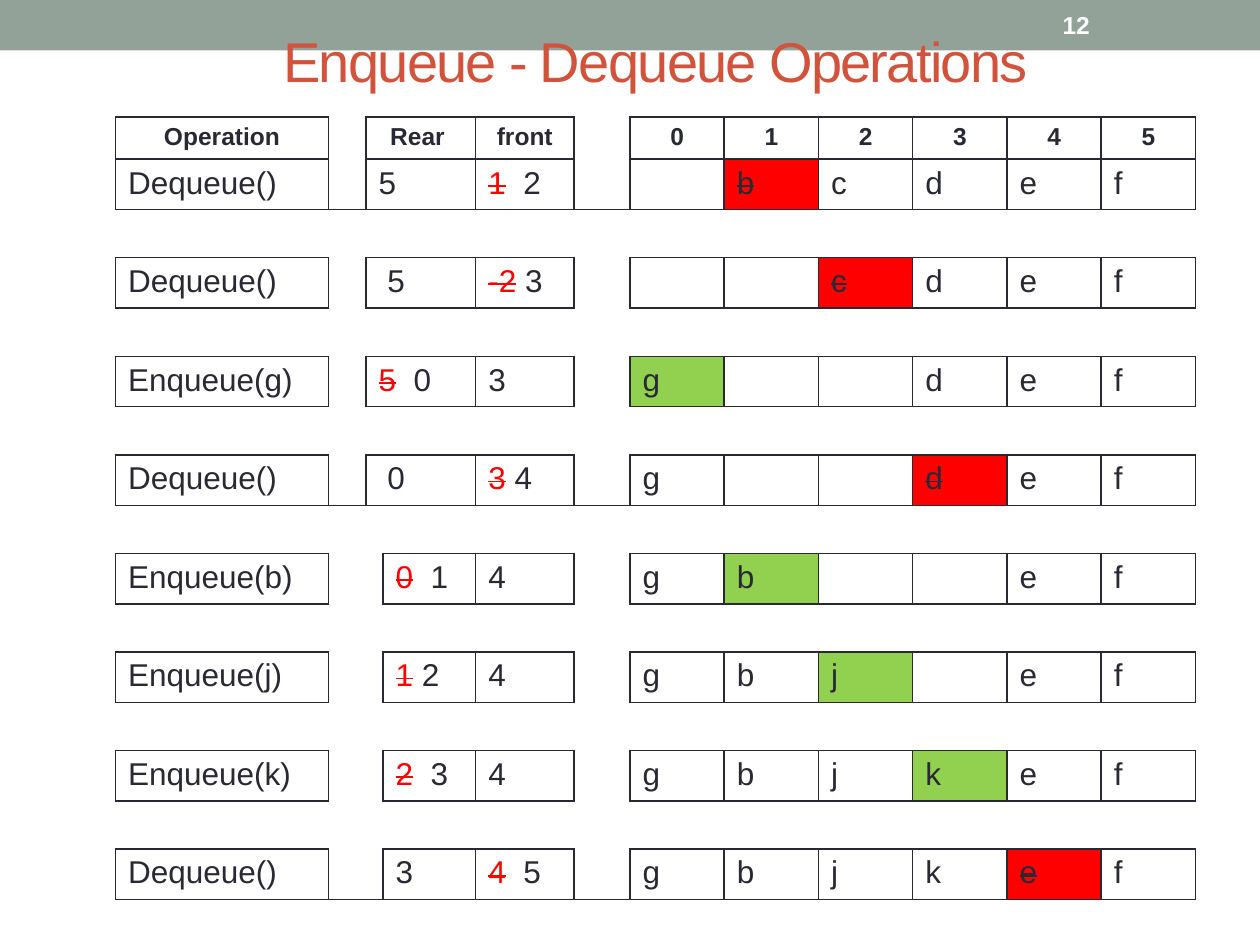
from pptx import Presentation
from pptx.dml.color import RGBColor
from pptx.enum.shapes import MSO_SHAPE
from pptx.enum.text import MSO_ANCHOR, PP_ALIGN
from pptx.util import Cm, Pt
from lxml.etree import SubElement
from pptx.oxml.ns import qn

INK = RGBColor(0x29, 0x29, 0x34)
SAGE = RGBColor(0x93, 0xA2, 0x99)
RUST = RGBColor(0xD2, 0x53, 0x3C)
RED = RGBColor(0xFF, 0x00, 0x00)
GREEN = RGBColor(0x92, 0xD0, 0x50)
WHITE = RGBColor(0xFF, 0xFF, 0xFF)

FONT = "Arial"
PLAIN = "{2D5ABB26-0587-4C30-8999-92F81FD0307C}"
WIDTHS = [4.29, 0.76, 0.34, 1.87, 1.98, 1.13] + [1.9] * 6
HEIGHTS = [1.85, 0.81] + [0.97] * 15 + [2.44]
RULED = (3, 9, 17)
SLOTS = 6

STEPS = [
    ("Dequeue()", "5", "1|  2", " bcdef", 1),
    ("Dequeue()", " 5", "-2| 3", "  cdef", 2),
    ("Enqueue(g)", "5|  0", "3", "g  def", 0),
    ("Dequeue()", " 0", "3| 4", "g  def", 3),
    ("Enqueue(b)", "0|  1", "4", "gb  ef", 1),
    ("Enqueue(j)", "1| 2", "4", "gbj ef", 2),
    ("Enqueue(k)", "2|  3", "4", "gbjkef", 3),
    ("Dequeue()", "3", "4|  5", "gbjkef", 4),
]


def style(para, size, color, bold=False, align=PP_ALIGN.LEFT):
    para.alignment = align
    font = para.font
    font.name, font.size, font.bold = FONT, Pt(size), bold
    font.color.rgb = color


def strike(run):
    run.font._element.set("strike", "sngStrike")


def write(cell, text):
    para = cell.text_frame.paragraphs[0]
    style(para, 18, INK)
    old, bar, new = text.rpartition("|")
    if bar:
        run = para.add_run()
        run.text = old
        run.font.color.rgb = RED
        strike(run)
    if new.strip():
        para.add_run().text = new


def head(cell, text):
    para = cell.text_frame.paragraphs[0]
    para.text = text
    style(para, 14, INK, True, PP_ALIGN.CENTER)


def border(cell, sides):
    props = cell._tc.get_or_add_tcPr()
    for spot, side in enumerate("LRTB"):
        line = props.makeelement(qn("a:ln" + side), {"w": str(Pt(1))})
        if side in sides:
            fill = SubElement(line, qn("a:solidFill"))
            SubElement(fill, qn("a:srgbClr"), val=str(INK))
        else:
            SubElement(line, qn("a:noFill"))
        props.insert(spot, line)


def layout(row):
    if row == 0 or row in RULED:
        return [(0, 11)]
    pair = [(1, 1), (2, 3)] if row < 10 else [(1, 2), (3, 3)]
    return [(0, 0)] + pair + [(col, col) for col in range(4, 12)]


def edges(row, first):
    if row == 0:
        return "B"
    if row == len(HEIGHTS) - 1:
        return "T"
    if row in RULED:
        return "TB"
    gap, blank = first in (1, 5), row > 2 and row % 2
    if blank:
        return "" if gap else "TB"
    return "LR" if gap else "LRTB"


def frame(table):
    for row in range(len(HEIGHTS)):
        for first, last in layout(row):
            if last > first:
                table.cell(row, first).merge(table.cell(row, last))
            for col in range(first, last + 1):
                cell = table.cell(row, col)
                cell.fill.background()
                border(cell, edges(row, first))


def settle(table):
    for cell in table.iter_cells():
        para = cell.text_frame.paragraphs[0]
        if not para.runs:
            end = SubElement(para._p, qn("a:endParaRPr"), sz="1400")
            SubElement(end, qn("a:latin"), typeface=FONT)


def title(cell, text):
    para = cell.text_frame.paragraphs[0]
    run = para.add_run()
    run.text = text
    style(para, 32, RUST, align=PP_ALIGN.CENTER)
    run.font._element.set("spc", "-100")


def step(table, row, data):
    name, rear, front, queue, hit = data
    write(table.cell(row, 0), name)
    write(table.cell(row, 2 if row < 10 else 3), rear)
    write(table.cell(row, 4), front)
    for slot, item in enumerate(queue):
        write(table.cell(row, 6 + slot), item)
    mark = table.cell(row, 6 + hit)
    gone = name.startswith("Dequeue")
    mark.fill.solid()
    mark.fill.fore_color.rgb = RED if gone else GREEN
    if gone:
        strike(mark.text_frame.paragraphs[0].runs[0])


def grid(slide):
    shape = slide.shapes.add_table(
        len(HEIGHTS), len(WIDTHS), Cm(2.33), Cm(0.51),
        Cm(sum(WIDTHS)), Cm(sum(HEIGHTS)))
    table = shape.table
    table.first_row = table.horz_banding = False
    table._tbl.tblPr.find(qn("a:tableStyleId")).text = PLAIN
    for col, width in zip(table.columns, WIDTHS):
        col.width = Cm(width)
    for row, height in zip(table.rows, HEIGHTS):
        row.height = Cm(height)
    frame(table)
    title(table.cell(0, 0), "Enqueue - Dequeue Operations")
    for col, text in ((0, "Operation"), (2, "Rear "), (4, "front")):
        head(table.cell(1, col), text)
    for slot in range(SLOTS):
        head(table.cell(1, 6 + slot), str(slot))
    for index, data in enumerate(STEPS):
        step(table, 2 + 2 * index, data)
    settle(table)


def banner(slide, width):
    bar = slide.shapes.add_shape(MSO_SHAPE.RECTANGLE, 0, 0, width, Cm(1.02))
    bar.shadow.inherit = False
    bar.fill.solid()
    bar.fill.fore_color.rgb = SAGE
    bar.line.fill.background()


def number(slide, text):
    box = slide.shapes.add_textbox(Cm(21.17), Cm(0.05), Cm(2.96), Cm(0.91))
    body = box.text_frame
    body.word_wrap = True
    body.vertical_anchor = MSO_ANCHOR.MIDDLE
    para = body.paragraphs[0]
    para.text = text
    style(para, 14, WHITE, True)


def main():
    deck = Presentation()
    deck.slide_width, deck.slide_height = Cm(25.4), Cm(19.05)
    slide = deck.slides.add_slide(deck.slide_layouts[6])
    banner(slide, deck.slide_width)
    number(slide, "12")
    grid(slide)
    deck.save("out.pptx")


main()
